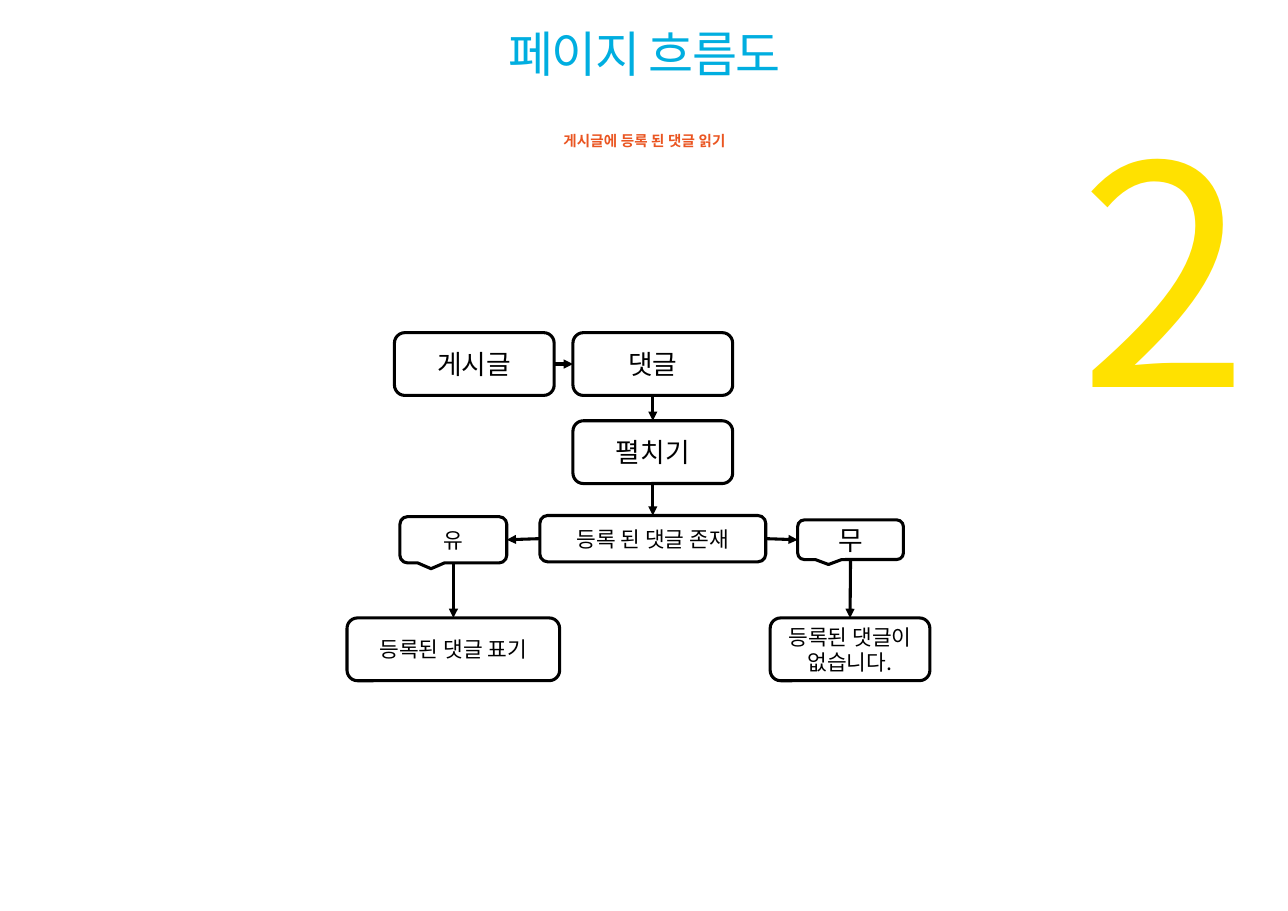
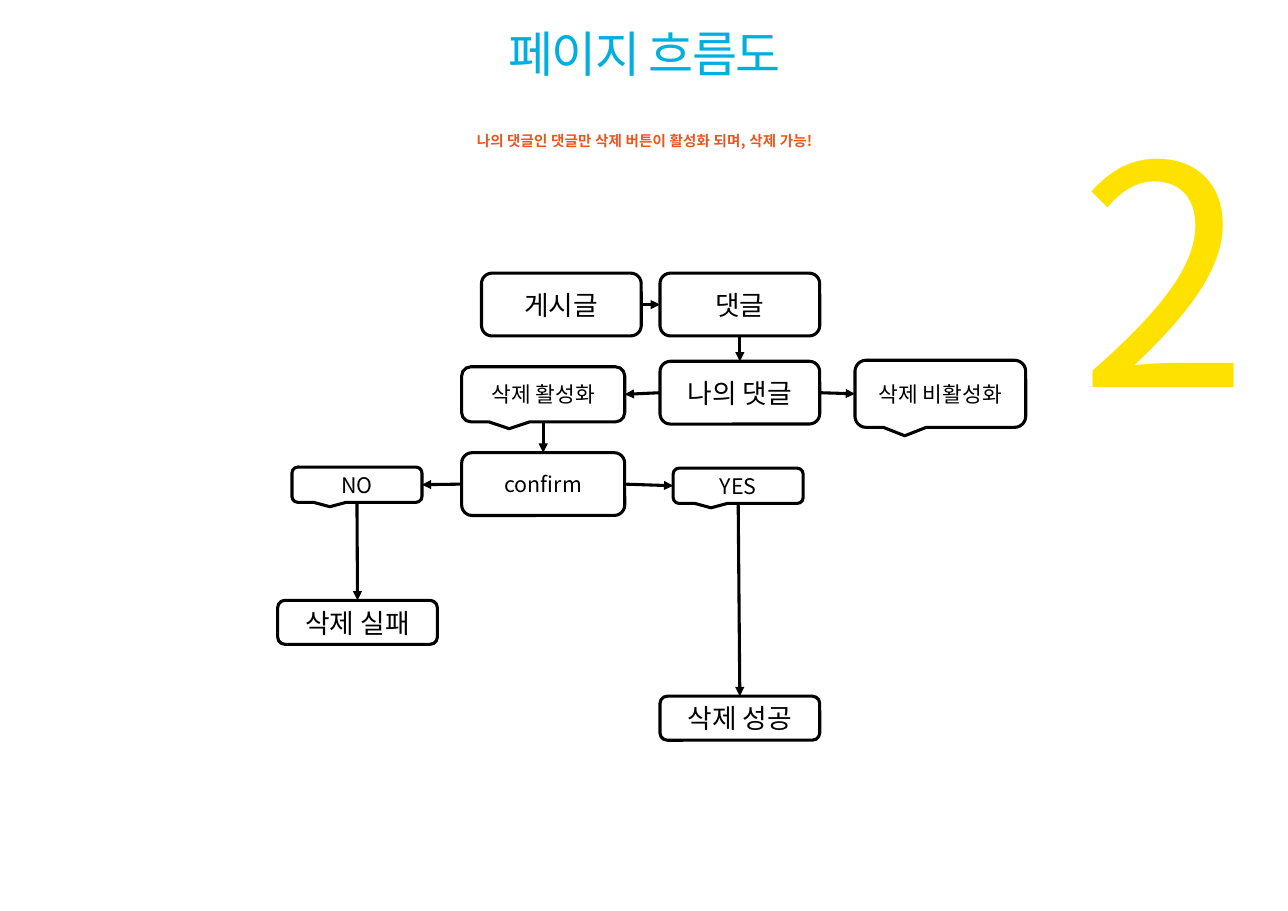
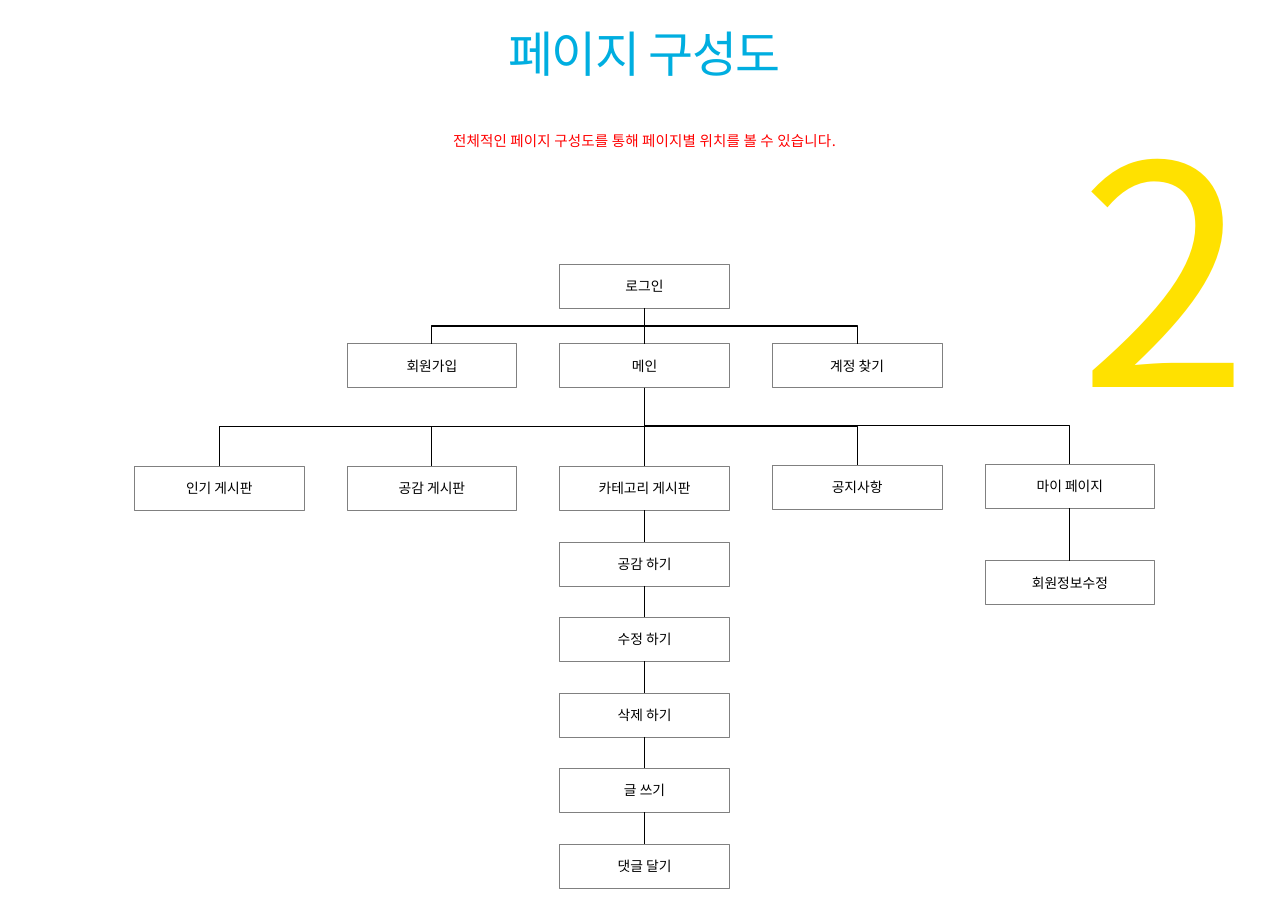
from pptx import Presentation
from pptx.dml.color import RGBColor
from pptx.enum.shapes import MSO_CONNECTOR as LINE, MSO_SHAPE as SHAPE
from pptx.enum.text import MSO_ANCHOR as ANCHOR, PP_ALIGN as ALIGN
from pptx.oxml.ns import qn
from pptx.util import Inches, Pt
from lxml.etree import SubElement

FONT = "Noto Sans CJK KR"
BLACK, WHITE, GRAY = "000000", "FFFFFF", "808080"
BLUE, YELLOW, ORANGE, RED = "00AEE0", "FFE100", "EA5521", "FF0000"
TOP, LEFT, BOTTOM, RIGHT = range(4)
ROUND, CALLOUT, RECT = SHAPE.ROUNDED_RECTANGLE, SHAPE.ROUNDED_RECTANGULAR_CALLOUT, SHAPE.RECTANGLE


def rgb(value):
    return RGBColor.from_string(value)


def write(tf, text, size, color, bold=False, align=ALIGN.CENTER, spc=None, leading=None):
    tf.word_wrap = True
    p = tf.paragraphs[0]
    p.alignment = align
    if leading:
        p.line_spacing = Pt(leading)
        before = SubElement(p._p.get_or_add_pPr(), qn("a:spcBef"))
        SubElement(before, qn("a:spcPct")).set("val", "20000")
    r = p.add_run()
    r.text = text
    r.font.color.rgb = rgb(color)
    for name, value in {"size": Pt(size), "bold": bold, "name": FONT}.items():
        setattr(r.font, name, value)
    rPr = r._r.get_or_add_rPr()
    SubElement(rPr, qn("a:ea")).set("typeface", FONT)
    if spc:
        rPr.set("spc", str(spc))


read_flow = {
    "title": "페이지 흐름도",
    "note": ("게시글에 등록 된 댓글 읽기", ORANGE, True),
    "outline": (BLACK, 2), "link_width": 2, "arrow": True,
    "boxes": [
        (ROUND, 3.58, 3.02, 1.45, 0.57, 17.5, "게시글"),
        (ROUND, 5.2, 3.02, 1.45, 0.57, 17.5, "댓글"),
        (ROUND, 5.2, 3.82, 1.45, 0.57, 17.5, "펼치기"),
        (ROUND, 4.9, 4.68, 2.05, 0.42, 14, "등록 된 댓글 존재"),
        (CALLOUT, 3.63, 4.69, 0.97, 0.42, 14, "유"),
        (CALLOUT, 7.24, 4.72, 0.96, 0.36, 17.5, "무"),
        (ROUND, 3.15, 5.61, 1.93, 0.57, 14, "등록된 댓글 표기"),
        (ROUND, 6.99, 5.61, 1.45, 0.57, 14, "등록된 댓글이 없습니다."),
    ],
    "links": [
        ("게시글", RIGHT, "댓글", LEFT),
        ("댓글", BOTTOM, "펼치기", TOP),
        ("펼치기", BOTTOM, "등록 된 댓글 존재", TOP),
        ("등록 된 댓글 존재", LEFT, "유", RIGHT),
        ("등록 된 댓글 존재", RIGHT, "무", LEFT),
        ("유", BOTTOM, "등록된 댓글 표기", TOP),
        ("무", BOTTOM, "등록된 댓글이 없습니다.", TOP),
    ],
}

delete_flow = {
    "title": "페이지 흐름도",
    "note": ("나의 댓글인 댓글만 삭제 버튼이 활성화 되며, 삭제 가능!", ORANGE, True),
    "outline": (BLACK, 2), "link_width": 2, "arrow": True,
    "boxes": [
        (ROUND, 4.37, 2.48, 1.45, 0.57, 17.5, "게시글"),
        (ROUND, 5.99, 2.48, 1.45, 0.57, 17.5, "댓글"),
        (ROUND, 5.99, 3.28, 1.45, 0.57, 17.5, "나의 댓글"),
        (CALLOUT, 4.19, 3.33, 1.48, 0.5, 14, "삭제 활성화"),
        (CALLOUT, 7.76, 3.27, 1.55, 0.61, 14, "삭제 비활성화"),
        (ROUND, 4.19, 4.11, 1.48, 0.57, 14, "confirm"),
        (CALLOUT, 2.65, 4.24, 1.18, 0.32, 14, "NO"),
        (CALLOUT, 6.11, 4.25, 1.18, 0.32, 14, "YES"),
        (ROUND, 2.52, 5.45, 1.45, 0.4, 17.5, "삭제 실패"),
        (ROUND, 5.99, 6.32, 1.45, 0.4, 17.5, "삭제 성공"),
    ],
    "links": [
        ("게시글", RIGHT, "댓글", LEFT),
        ("댓글", BOTTOM, "나의 댓글", TOP),
        ("나의 댓글", LEFT, "삭제 활성화", RIGHT),
        ("나의 댓글", RIGHT, "삭제 비활성화", LEFT),
        ("삭제 활성화", BOTTOM, "confirm", TOP),
        ("confirm", LEFT, "NO", RIGHT),
        ("confirm", RIGHT, "YES", LEFT),
        ("NO", BOTTOM, "삭제 실패", TOP),
        ("YES", BOTTOM, "삭제 성공", TOP),
    ],
}

pages = [
    (2, 2.4, "로그인", None),
    (1, 3.12, "회원가입", "로그인"),
    (2, 3.12, "메인", "로그인"),
    (3, 3.12, "계정 찾기", "로그인"),
    (0, 4.23, "인기 게시판", "메인"),
    (1, 4.23, "공감 게시판", "메인"),
    (2, 4.23, "카테고리 게시판", "메인"),
    (3, 4.22, "공지사항", "메인"),
    (4, 4.21, "마이 페이지", "메인"),
    (4, 5.09, "회원정보수정", "마이 페이지"),
]
parent = "카테고리 게시판"
for i, text in enumerate(["공감 하기", "수정 하기", "삭제 하기", "글 쓰기", "댓글 달기"]):
    pages.append((2, 4.92 + 0.685 * i, text, parent))
    parent = text

site_map = {
    "title": "페이지 구성도",
    "note": ("전체적인 페이지 구성도를 통해 페이지별 위치를 볼 수 있습니다.", RED, False),
    "outline": (GRAY, 0.25), "link_width": 0.75, "arrow": False,
    "boxes": [(RECT, 1.22 + 1.93 * col, y, 1.54, 0.4, 9, text) for col, y, text, _ in pages],
    "links": [(up, BOTTOM, text, TOP) for _, _, text, up in pages if up],
}

prs = Presentation()
prs.slide_width, prs.slide_height = Inches(11.69), Inches(8.27)

for page in (read_flow, delete_flow, site_map):
    s = prs.slides.add_slide(prs.slide_layouts[6])
    note, note_color, note_bold = page["note"]
    headings = [
        ((2.21, 1.16, 7.28, 0.79), note,
         dict(size=9.5, color=note_color, bold=note_bold, spc=10, leading=14)),
        ((2.21, 0.33, 7.28, 0.82), page["title"],
         dict(size=32, color=BLUE, spc=-100, leading=30)),
        ((9.8, 1.3, 1.46, 2.76), "2",
         dict(size=200, color=YELLOW, align=ALIGN.LEFT, spc=-100, leading=200)),
    ]
    for place, text, style in headings:
        tf = s.shapes.add_textbox(*map(Inches, place)).text_frame
        for side in ("left", "top", "right", "bottom"):
            setattr(tf, f"margin_{side}", 0)
        write(tf, text, **style)

    boxes = {}
    line_color, line_width = page["outline"]
    for kind, x, y, w, h, size, text in page["boxes"]:
        sp = s.shapes.add_shape(kind, Inches(x), Inches(y), Inches(w), Inches(h))
        sp.shadow.inherit = False
        sp.fill.solid()
        sp.fill.fore_color.rgb = rgb(WHITE)
        sp.line.color.rgb = rgb(line_color)
        sp.line.width = Pt(line_width)
        sp.text_frame.vertical_anchor = ANCHOR.MIDDLE
        write(sp.text_frame, text, size, BLACK)
        boxes[text] = sp

    for start, start_side, end, end_side in page["links"]:
        a, b = boxes[start], boxes[end]
        x1, x2 = a.left + a.width // 2, b.left + b.width // 2
        y1, y2 = a.top + a.height, b.top
        if start_side == BOTTOM and abs(x2 - x1) > Inches(0.5):
            mid_x, mid_y = (x1 + x2) // 2, (y1 + y2) // 2
            half_w, half_h = abs(x2 - x1) // 2, (y2 - y1) // 2
            turn = 1 if x2 < x1 else -1
            c = s.shapes.add_connector(LINE.ELBOW, mid_x - turn * half_h, mid_y - half_w,
                                       mid_x + turn * half_h, mid_y + half_w)
            c._element.spPr.find(qn("a:xfrm")).set("rot", str(turn * 5400000 % 21600000))
        else:
            c = s.shapes.add_connector(LINE.STRAIGHT, x1, y1, x2, y2)
            c.begin_connect(a, start_side)
            c.end_connect(b, end_side)
        c.line.color.rgb = rgb(BLACK)
        c.line.width = Pt(page["link_width"])
        if page["arrow"]:
            SubElement(c.line._get_or_add_ln(), qn("a:tailEnd")).set("type", "triangle")
        SubElement(c._element.spPr, qn("a:effectLst"))

prs.save("out.pptx")
